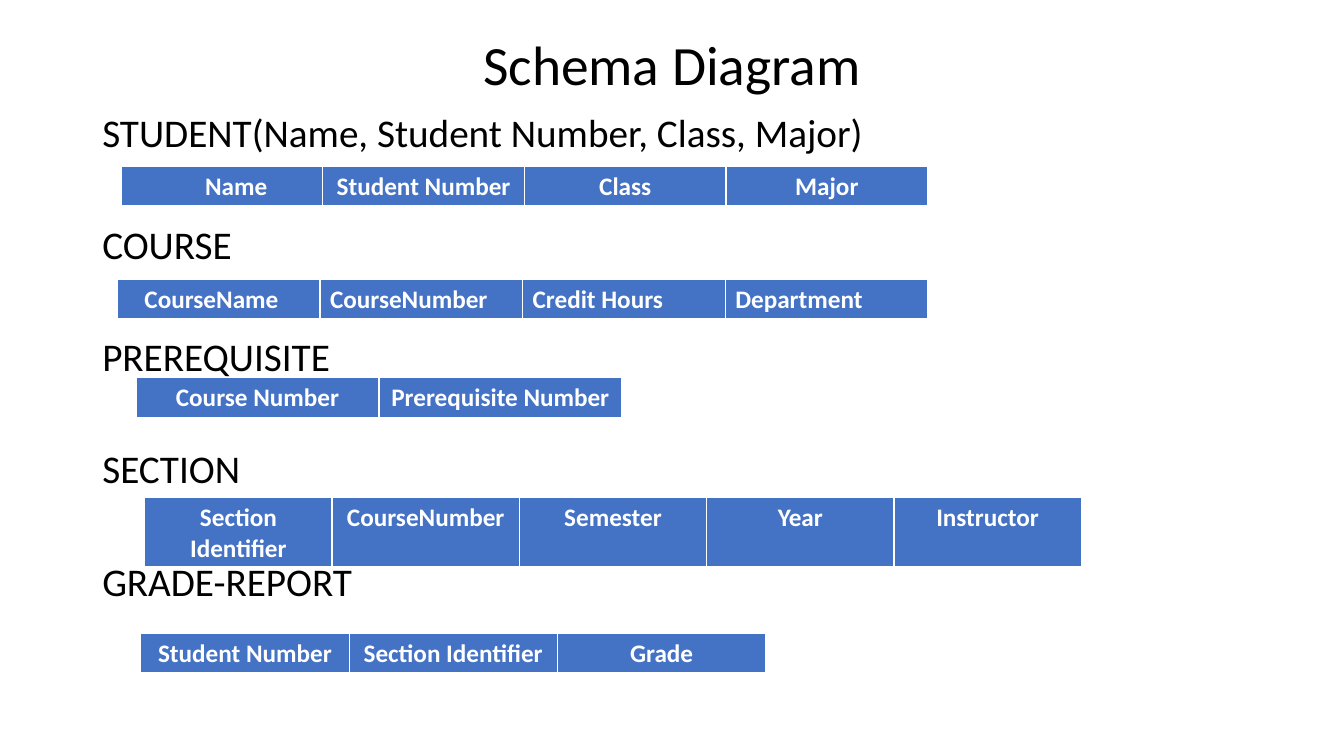
from lxml.etree import SubElement
from pptx import Presentation
from pptx.dml.color import RGBColor
from pptx.enum.text import MSO_ANCHOR as Anchor, PP_ALIGN as Align
from pptx.oxml.ns import qn
from pptx.util import Pt

COLORS = {"text": "000000", "header": "4472C4", "white": "FFFFFF"}
BORDERS = {"a:lnL": 1, "a:lnR": 1, "a:lnT": 1, "a:lnB": 3}
CELL_MARGIN = 7.2


class SchemaSlide:
    font = "Calibri"

    def __init__(self, slide):
        self.slide = slide

    def add_words(self, paragraph, words, size, color, bold=False):
        run = paragraph.add_run()
        run.text = words
        run.font.name = self.font
        run.font.size = Pt(size)
        run.font.bold = bold
        run.font.color.rgb = RGBColor.from_string(COLORS[color])

    def text(self, box, lines, size, gap=0, align=Align.LEFT, anchor=Anchor.TOP):
        frame = self.slide.shapes.add_textbox(*map(Pt, box)).text_frame
        frame.word_wrap = True
        frame.vertical_anchor = anchor
        for index, line in enumerate(lines):
            paragraph = frame.add_paragraph() if index else frame.paragraphs[0]
            paragraph.alignment = align
            paragraph.line_spacing = 0.9
            paragraph.space_before = Pt(gap if index else 0)
            self.add_words(paragraph, line, size, "text")

    def border(self, cell):
        properties = cell._tc.get_or_add_tcPr()
        for position, (tag, width) in enumerate(BORDERS.items()):
            line = SubElement(properties, qn(tag), w=str(Pt(width)))
            fill = SubElement(line, qn("a:solidFill"))
            SubElement(fill, qn("a:srgbClr"), val=COLORS["white"])
            properties.insert(position, line)

    def relation(self, box, attributes, align=Align.CENTER, indent=0):
        table = self.slide.shapes.add_table(1, len(attributes), *map(Pt, box)).table
        for cell, attribute in zip(table.rows[0].cells, attributes):
            cell.fill.solid()
            cell.fill.fore_color.rgb = RGBColor.from_string(COLORS["header"])
            self.border(cell)
            paragraph = cell.text_frame.paragraphs[0]
            paragraph.alignment = align
            self.add_words(paragraph, attribute, 18, "white", bold=True)
        # The first attribute is set in from the left
        table.cell(0, 0).margin_left = Pt(CELL_MARGIN + indent)


def main():
    deck = Presentation()
    deck.slide_width, deck.slide_height = Pt(960), Pt(540)
    schema = SchemaSlide(deck.slides.add_slide(deck.slide_layouts[6]))

    # Title
    schema.text((66, 28.8, 828, 38.9), ["Schema Diagram"], 39.6,
                align=Align.CENTER, anchor=Anchor.MIDDLE)

    # Relation names
    schema.text((66, 77.8, 828, 433.4),
                ["STUDENT(Name, Student Number, Class, Major)", "COURSE",
                 "PREREQUISITE", "SECTION", "GRADE-REPORT"], 28, gap=49.8)

    # Attributes of each relation
    schema.relation((86.6, 118.8, 576, 29.2),
                    ["Name", "Student Number", "Class", "Major"], indent=20.3)
    schema.relation((83.8, 199.5, 579, 29.2),
                    ["CourseName", "CourseNumber", "Credit Hours", "Department"],
                    align=Align.LEFT, indent=12.2)
    schema.relation((97.2, 269.8, 347, 29.2),
                    ["Course Number", "Prerequisite Number"])
    schema.relation((103.4, 355.2, 669, 50.4),
                    ["Section Identifier", "CourseNumber", "Semester", "Year",
                     "Instructor"])
    schema.relation((100.6, 452.2, 446.4, 29.2),
                    ["Student Number", "Section Identifier", "Grade"])

    deck.save("out.pptx")


if __name__ == "__main__":
    main()
